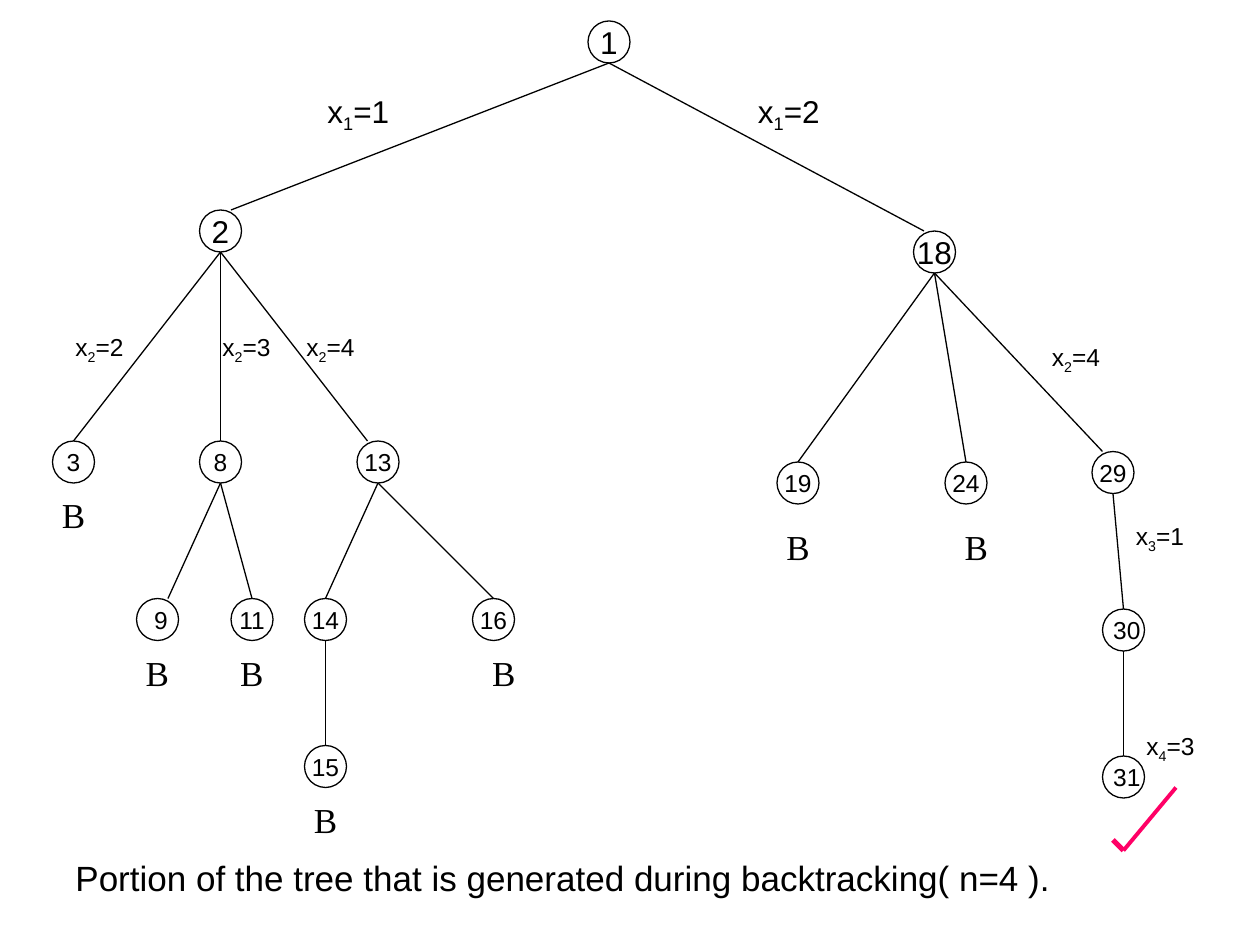
from dataclasses import dataclass
from typing import Optional

from lxml.etree import SubElement
from pptx import Presentation
from pptx.dml.color import RGBColor
from pptx.enum.shapes import MSO_CONNECTOR, MSO_SHAPE
from pptx.enum.text import MSO_ANCHOR, MSO_AUTO_SIZE, PP_ALIGN
from pptx.oxml.ns import qn
from pptx.util import Emu, Pt

EMU_PER_PX = 9525
DIAMETER = 32
MARK_WIDTH, MARK_HEIGHT = 48, 32
BLACK, WHITE, PINK = "000000", "FFFFFF", "FF0066"
SANS, SERIF = "Arial", "Times New Roman"


@dataclass(frozen=True)
class DeadEnd:
    """Offset of the B mark: down from the node's top, right of its centre."""
    drop: int = 40
    shift: int = 0


@dataclass(frozen=True)
class Node:
    """A tree node; lean is how far its incoming edge ends from its centre."""
    label: str
    left: int
    top: int
    parent: Optional[str] = None
    lean: int = 0
    size: int = 14
    dead_end: Optional[DeadEnd] = None

    @property
    def centre(self) -> int:
        return self.left + DIAMETER // 2


@dataclass(frozen=True)
class Choice:
    """An edge label such as x₁=2."""
    index: int
    value: int
    left: int
    top: int
    size: int = 14


NODES = [
    Node("1", 448, 16, size=18),
    Node("2", 152, 160, "1", lean=8, size=18),
    Node("18", 696, 176, "1", lean=-8, size=18),
    Node("3", 40, 336, "2", dead_end=DeadEnd()),
    Node("8", 152, 336, "2"),
    Node("13", 272, 336, "2", lean=-8),
    Node(" 9", 104, 456, "8", lean=8, dead_end=DeadEnd()),
    Node("11", 176, 456, "8", dead_end=DeadEnd()),
    Node("14", 232, 456, "13"),
    Node("16", 360, 456, "13", dead_end=DeadEnd(shift=8)),
    Node("15", 232, 568, "14", dead_end=DeadEnd()),
    Node("19", 592, 352, "18", dead_end=DeadEnd(drop=48)),
    Node("24", 720, 352, "18", dead_end=DeadEnd(drop=48, shift=8)),
    Node("29", 832, 344, "18", lean=-8),
    Node(" 30", 840, 464, "29"),
    Node(" 31", 840, 576, "30"),
]

CHOICES = [
    Choice(1, 1, 240, 65, size=18),
    Choice(1, 2, 568, 65, size=18),
    Choice(2, 2, 48, 248),
    Choice(2, 3, 160, 248),
    Choice(2, 4, 224, 248),
    Choice(2, 4, 792, 256),
    Choice(3, 1, 856, 392),
    Choice(4, 3, 864, 552),
]


def px(length: int) -> Emu:
    return Emu(length * EMU_PER_PX)


def rgb(value: str) -> RGBColor:
    return RGBColor.from_string(value)


def format_runs(paragraph, size: int, face: str = SANS) -> None:
    for run in paragraph.runs:
        run.font.size = Pt(size)
        run.font.name = face
        run.font.color.rgb = rgb(BLACK)


def add_centred_shape(slide, kind, left: int, top: int, width: int, height: int,
                      text: str, size: int, face: str, outline: str, weight: float) -> None:
    shape = slide.shapes.add_shape(kind, px(left), px(top), px(width), px(height))
    shape.shadow.inherit = False
    shape.fill.solid()
    shape.fill.fore_color.rgb = rgb(WHITE)
    shape.line.color.rgb = rgb(outline)
    shape.line.width = Pt(weight)
    frame = shape.text_frame
    frame.text = text
    frame.word_wrap = False
    frame.vertical_anchor = MSO_ANCHOR.MIDDLE
    frame.paragraphs[0].alignment = PP_ALIGN.CENTER
    format_runs(frame.paragraphs[0], size, face)


def add_node(slide, node: Node) -> None:
    add_centred_shape(slide, MSO_SHAPE.OVAL, node.left, node.top, DIAMETER, DIAMETER,
                      node.label, node.size, SANS, BLACK, 0.75)


def add_dead_end(slide, node: Node, mark: DeadEnd) -> None:
    add_centred_shape(slide, MSO_SHAPE.RECTANGLE,
                      node.centre - MARK_WIDTH // 2 + mark.shift, node.top + mark.drop,
                      MARK_WIDTH, MARK_HEIGHT, "B", 20, SERIF, WHITE, 1)


def add_line(slide, x1: int, y1: int, x2: int, y2: int,
             color: str = BLACK, weight: float = 0.75) -> None:
    line = slide.shapes.add_connector(MSO_CONNECTOR.STRAIGHT, px(x1), px(y1), px(x2), px(y2))
    line.line.color.rgb = rgb(color)
    line.line.width = Pt(weight)
    SubElement(line._element.spPr, qn("a:effectLst"))


def add_label(slide, left: int, top: int, width: int, height: int, size: int, text: str):
    """Add a text box and return its paragraph."""
    frame = slide.shapes.add_textbox(px(left), px(top), px(width), px(height)).text_frame
    frame.word_wrap = True
    frame.auto_size = MSO_AUTO_SIZE.SHAPE_TO_FIT_TEXT
    paragraph = frame.paragraphs[0]
    paragraph.text = text
    paragraph.space_before = Pt(size * 0.625)
    format_runs(paragraph, size)
    return paragraph


def add_choice(slide, choice: Choice) -> None:
    width, height = (96, 42) if choice.size == 18 else (80, 36)
    paragraph = add_label(slide, choice.left, choice.top, width, height, choice.size, "x")
    subscript, value = paragraph.add_run(), paragraph.add_run()
    subscript.text = str(choice.index)
    value.text = f"={choice.value}"
    format_runs(paragraph, choice.size)
    subscript.font._element.set("baseline", "-25000")


def main() -> None:
    prs = Presentation()
    prs.slide_width, prs.slide_height = px(960), px(720)
    slide = prs.slides.add_slide(prs.slide_layouts[6])

    by_label = {node.label.strip(): node for node in NODES}
    for node in NODES:
        add_node(slide, node)
    for node in NODES:
        if node.parent:
            parent = by_label[node.parent]
            add_line(slide, parent.centre, parent.top + DIAMETER,
                     node.centre + node.lean, node.top)
    for choice in CHOICES:
        add_choice(slide, choice)

    add_line(slide, 848, 640, 856, 648, PINK, 3)
    add_line(slide, 856, 648, 896, 600, PINK, 2.25)
    add_label(slide, 48, 648, 896, 42, 20,
              "Portion of the tree that is generated during backtracking( n=4 ).")
    for node in NODES:
        if node.dead_end:
            add_dead_end(slide, node, node.dead_end)

    prs.save("out.pptx")


if __name__ == "__main__":
    main()
